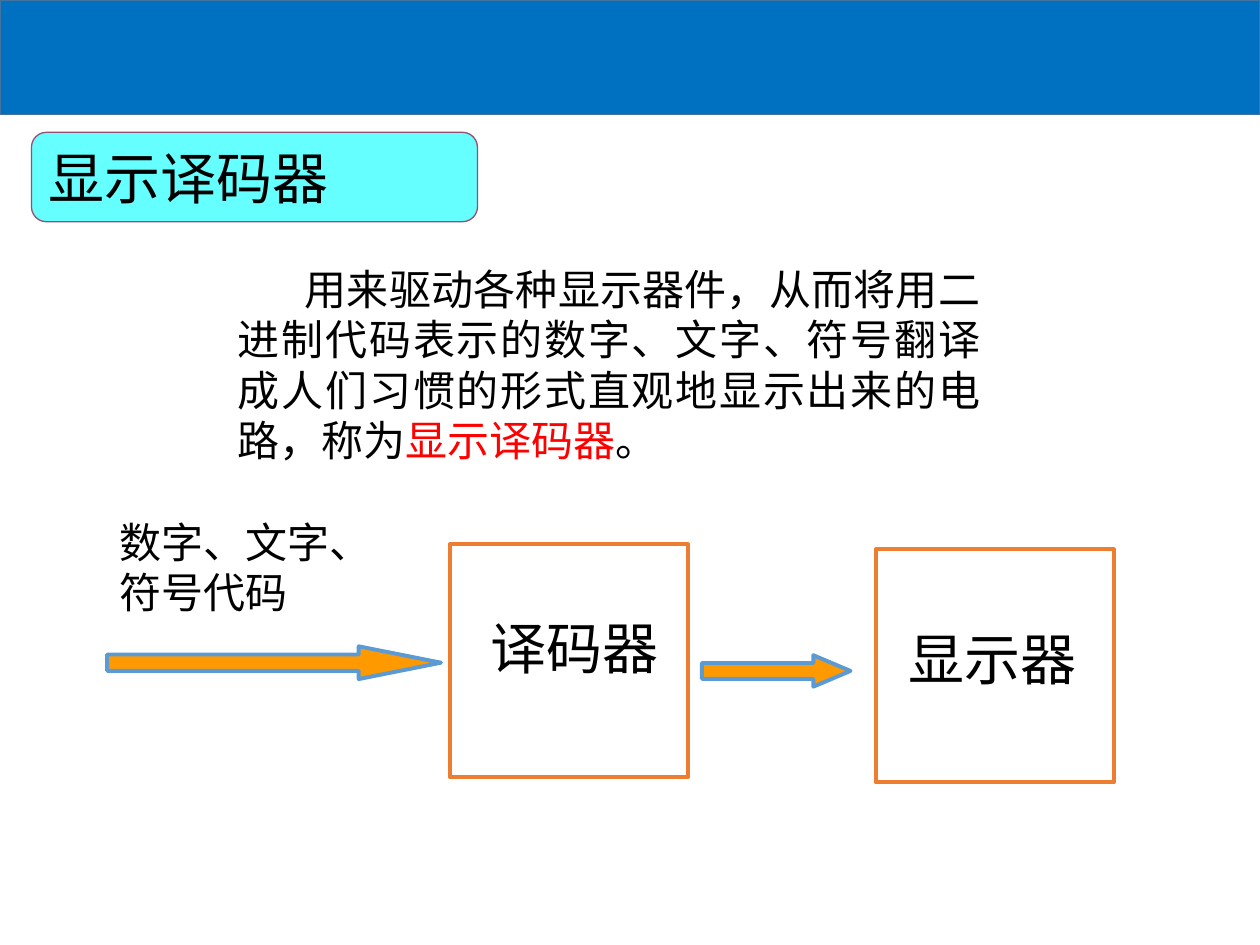
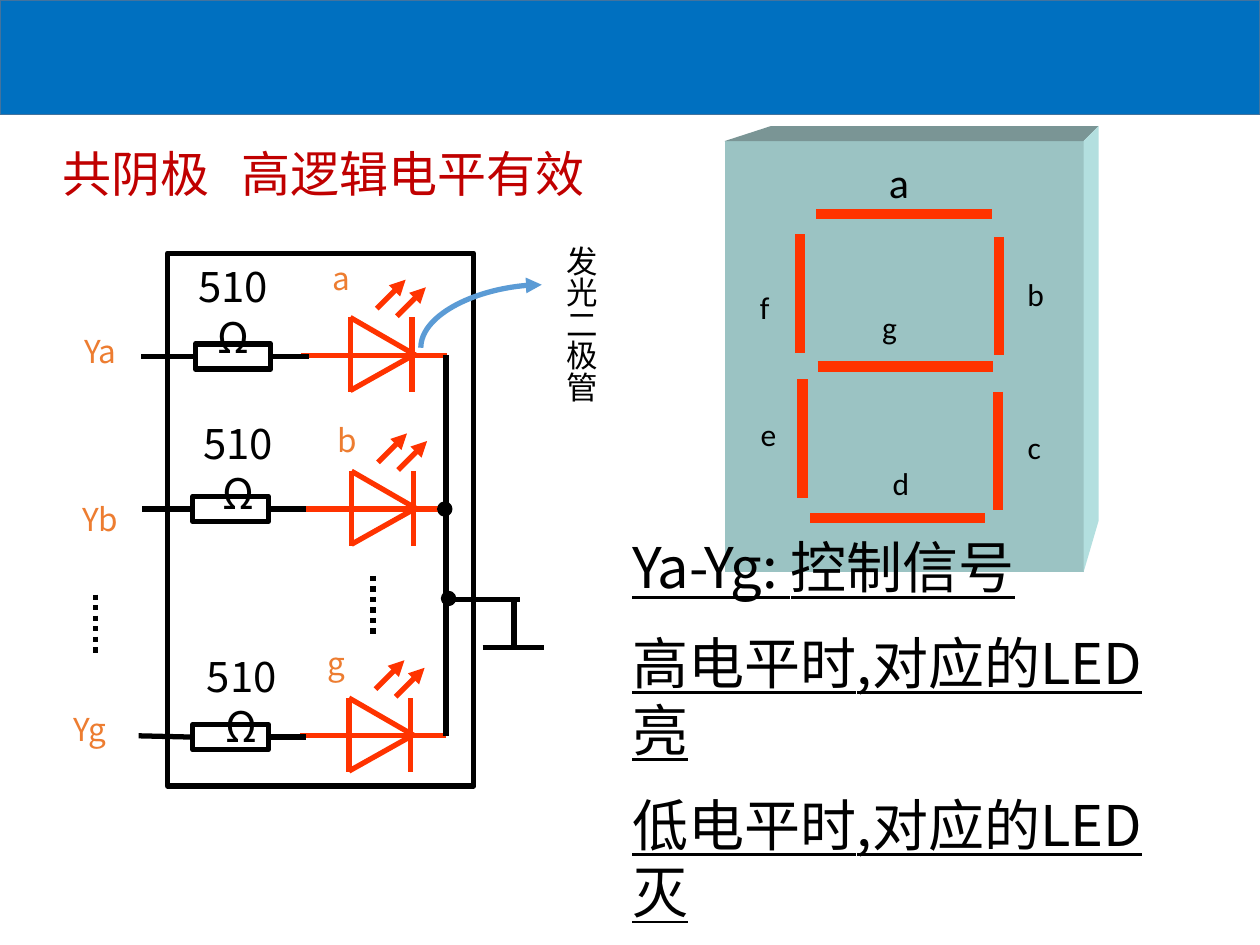
from lxml.etree import SubElement
from pptx import Presentation
from pptx.dml.color import RGBColor
from pptx.enum.dml import MSO_LINE
from pptx.enum.shapes import MSO_CONNECTOR, MSO_SHAPE
from pptx.enum.text import MSO_ANCHOR, PP_ALIGN
from pptx.oxml.ns import qn
from pptx.util import Inches, Pt

BLACK, WHITE, BLUE, BAND_EDGE = "000000", "FFFFFF", "0070C0", "43739E"
CYAN, PLUM, RED, DARK_RED = "66FFFF", "954F72", "FF0000", "C00000"
ORANGE, AMBER, SKY, LED_RED = "ED7D31", "FF9900", "5B9BD5", "FF3300"
LATIN, HAN = "Calibri", "Noto Sans CJK SC"


def color(value):
    return RGBColor.from_string(value)


class SlideBuilder:
    """Holds the deck style and the page being drawn."""

    def __init__(self):
        self.deck = Presentation()
        self.deck.slide_width, self.deck.slide_height = Inches(10), Inches(7.5)
        self.page = None

    def new_page(self):
        self.page = self.deck.slides.add_slide(self.deck.slide_layouts[6])
        self.shape(MSO_SHAPE.RECTANGLE, (0, 0, 10, 0.91), BLUE, BAND_EDGE, 1)

    def paint(self, shape, fill, line, width):
        shape.shadow.inherit = False
        if fill:
            shape.fill.solid()
            shape.fill.fore_color.rgb = color(fill)
        else:
            shape.fill.background()
        if line:
            shape.line.color.rgb = color(line)
            shape.line.width = Pt(width)
        else:
            shape.line.fill.background()

    def shape(self, kind, place, fill=None, line=None, width=3, adjust=()):
        shape = self.page.shapes.add_shape(kind, *map(Inches, place))
        for index, value in enumerate(adjust):
            shape.adjustments[index] = value
        self.paint(shape, fill, line, width)
        return shape

    def face(self, points, fill):
        corners = [(Inches(x), Inches(y)) for x, y in points]
        outline = self.page.shapes.build_freeform(*corners[0], scale=1.0)
        outline.add_line_segments(corners[1:], close=True)
        self.paint(outline.convert_to_shape(), fill, None, 0)

    def line(self, start, end, line=BLACK, width=3, dotted=False, arrow=False,
             kind=MSO_CONNECTOR.STRAIGHT):
        connector = self.page.shapes.add_connector(kind, *map(Inches, start + end))
        connector.line.color.rgb = color(line)
        connector.line.width = Pt(width)
        if dotted:
            connector.line.dash_style = MSO_LINE.ROUND_DOT
        properties = connector._element.spPr
        if arrow:
            SubElement(properties.find(qn("a:ln")), qn("a:tailEnd"), type="triangle")
        SubElement(properties, qn("a:effectLst"))
        return connector

    def text(self, place, content, **style):
        box = self.page.shapes.add_textbox(*map(Inches, place))
        self.set_text(box, content, **style)
        return box

    def set_text(self, box, content, size=18, font=HAN, ink=BLACK, align=PP_ALIGN.LEFT,
                 anchor=MSO_ANCHOR.MIDDLE, wrap=True, underline=None, indent=0, tab=0):
        """Content is a list of paragraphs, each a list of (text, ink) spans or a string."""
        frame = box.text_frame
        frame.word_wrap, frame.vertical_anchor = wrap, anchor
        paragraphs = [content] if isinstance(content, str) else content
        for index, spans in enumerate(paragraphs):
            para = frame.paragraphs[0] if index == 0 else frame.add_paragraph()
            para.alignment = align
            para.line_spacing = Pt(size * 1.2)
            if index:
                para.space_before = Pt(size / 2)
            settings = para._p.get_or_add_pPr()
            if indent:
                settings.set("indent", str(Inches(indent)))
            if tab:
                stops = SubElement(settings, qn("a:tabLst"))
                SubElement(stops, qn("a:tab"), pos=str(Inches(tab)), algn="l")
            for words, span_ink in [(spans, ink)] if isinstance(spans, str) else spans:
                span = para.add_run()
                span.text = words
                formats = {"size": Pt(size), "name": font, "underline": underline}
                for name, value in formats.items():
                    setattr(span.font, name, value)
                span.font.color.rgb = color(span_ink)
                SubElement(span._r.get_or_add_rPr(), qn("a:ea"), typeface=HAN)

    def label(self, place, words, **style):
        self.text(place, words, align=PP_ALIGN.CENTER, wrap=False, **style)

    def led(self, x, y):
        """A diode with its cathode bar and two light rays; x is the anode side."""
        strokes = [
            ((0, -0.3), (0, 0.29)), ((-0.39, 0), (0.77, 0)), ((0, -0.3), (0.52, 0)),
            ((0.48, 0.01), (0, 0.28)), ((0.49, -0.3), (0.49, 0.29)),
        ]
        rays = [((0.21, -0.37), (0.44, -0.6)), ((0.37, -0.31), (0.6, -0.54))]
        for start, end in strokes + rays:
            self.line((x + start[0], y + start[1]), (x + end[0], y + end[1]),
                      LED_RED, arrow=(start, end) in rays)

    def resistor(self, x, y, lead):
        body = self.shape(MSO_SHAPE.RECTANGLE, (x, y - 0.1, 0.6, 0.2), WHITE, BLACK)
        self.line(lead, (x, y)).end_connect(body, 1)
        self.line((x + 0.6, y), (x + 0.9, y)).begin_connect(body, 3)

    def dot(self, x, y):
        self.shape(MSO_SHAPE.OVAL, (x, y, 0.08, 0.08), BLACK, BLACK)


def definition_page(builder):
    builder.new_page()

    # Heading and definition
    heading = builder.shape(MSO_SHAPE.ROUNDED_RECTANGLE, (0.25, 1.05, 3.54, 0.71),
                            CYAN, PLUM, 0.75, [0.167])
    builder.set_text(heading, "显示译码器", size=32, font=LATIN)
    definition = [
        ("用来驱动各种显示器件，从而将用二进制代码表示的数字、文字、符号翻译"
         "成人们习惯的形式直观地显示出来的电路，称为", BLACK),
        ("显示译码器", RED), ("。", BLACK),
    ]
    builder.text((1.79, 2.04, 6.09, 1.72), [definition], size=24, font=LATIN,
                 align=PP_ALIGN.JUSTIFY, anchor=MSO_ANCHOR.TOP, indent=0.53)

    # Signal flow
    builder.text((0.85, 4.04, 2.49, 0.91), "数字、文字、符号代码", size=24)
    for place, head in [((0.85, 5.13, 2.65, 0.26), 2.513), ((5.57, 5.2, 1.18, 0.25), 1.181)]:
        builder.shape(MSO_SHAPE.RIGHT_ARROW, place, AMBER, SKY, 2.25, [0.5, head])
    for x, y in [(3.57, 4.32), (6.95, 4.36)]:
        builder.shape(MSO_SHAPE.RECTANGLE, (x, y, 1.89, 1.85), WHITE, ORANGE, 2.25)
    builder.label((3.79, 4.82, 1.54, 0.63), "译码器", size=32)
    builder.label((7.11, 4.91, 1.54, 0.63), "显示器", size=32)


def display_panel(builder):
    # Solid block: front, top and right faces
    left, top, right, bottom = 5.75, 1.12, 8.6, 4.54
    back_left, back_top, back_right, back_bottom = 6.12, 1, 8.72, 4.13
    builder.face([(left, top), (right, top), (right, bottom), (left, bottom)], "9BC3C3")
    builder.face([(left, top), (back_left, back_top), (back_right, back_top),
                  (right, top)], "7A9595")
    builder.face([(right, top), (back_right, back_top), (back_right, back_bottom),
                  (right, bottom)], "B3DFDF")

    # Seven segments
    for x, y in [(6.48, 1.7), (6.49, 2.91), (6.43, 4.11)]:
        builder.line((x, y), (x + 1.39, y), LED_RED, 6)
    for x, y in [(6.35, 1.86), (6.37, 3.01), (7.92, 3.11), (7.93, 1.88)]:
        builder.line((x, y), (x, y + 0.94), LED_RED, 6)
    builder.label((6.95, 1.19, 0.37, 0.5), "a", size=24, font=LATIN)
    segment_labels = {"b": (8.02, 2.05), "c": (8.01, 3.26), "d": (6.95, 3.55),
                      "e": (5.9, 3.16), "f": (5.87, 2.15), "g": (6.86, 2.31)}
    for name, corner in segment_labels.items():
        builder.label(corner + (0.4, 0.57), name, font=LATIN)


def led_circuit(builder):
    builder.shape(MSO_SHAPE.RECTANGLE, (1.33, 2.01, 2.43, 4.23), None, BLACK)

    # One branch per output: diode, resistor with leads, and names
    branches = [
        # name, diode, resistor, lead start, value corner, input corner, name corner
        ("a", (2.78, 2.82), (1.55, 2.83), (1.12, 2.83), (1.37, 2.22), (0.5, 2.5), (2.51, 1.92)),
        ("b", (2.79, 4.04), (1.53, 4.04), (1.13, 4.04), (1.41, 3.46), (0.5, 3.83), (2.56, 3.21)),
        ("g", (2.77, 5.84), (1.53, 5.85), (1.1, 5.84), (1.44, 5.31), (0.42, 5.5), (2.47, 4.98)),
    ]
    for name, diode, resistor, lead, value_at, input_at, name_at in branches:
        builder.led(*diode)
        builder.resistor(*resistor, lead)
        builder.text(value_at + (0.96, 0.5), "510Ω", size=24, align=PP_ALIGN.CENTER)
        builder.label(input_at + (0.59, 0.57), "Y" + name, ink=ORANGE)
        builder.label(name_at + (0.4, 0.57), name, ink=ORANGE)

    # Common cathode, ground and omitted branches
    for start, end in [((3.54, 2.82), (3.54, 5.84)), ((3.54, 4.76), (4.13, 4.76)),
                       ((4.08, 4.76), (4.08, 5.14)), ((3.83, 5.14), (4.32, 5.14))]:
        builder.line(start, end)
    builder.dot(3.49, 4)
    builder.dot(3.52, 4.71)
    for x, y in [(2.96, 4.57), (0.76, 4.72)]:
        builder.line((x, y), (x, y + 0.46), dotted=True)

    # Diode callout: a quarter curve turned to leave upwards
    caption = builder.text((4.28, 1.85, 0.67, 2.06), "发光二极管")
    caption.text_frame._txBody.bodyPr.set("vert", "eaVert")
    curve = builder.line((3.57, 2.03), (4.07, 2.99), SKY, arrow=True,
                         kind=MSO_CONNECTOR.CURVE)
    properties = curve._element.spPr
    properties.find(qn("a:xfrm")).set("rot", str(270 * 60000))
    properties.find(qn("a:prstGeom")).set("prst", "curvedConnector2")


def common_cathode_page(builder):
    builder.new_page()
    display_panel(builder)
    led_circuit(builder)

    # Control signal rules and title
    rules = ["Ya-Yg: 控制信号", "高电平时,对应的LED亮", "低电平时,对应的LED灭"]
    builder.text((4.92, 4.67, 4.67, 2.23), rules, size=32, underline=True)
    builder.text((0.4, 1.09, 4.72, 0.57), "共阴极\t高逻辑电平有效", size=28,
                 ink=DARK_RED, anchor=MSO_ANCHOR.TOP, tab=1.42)


def main():
    builder = SlideBuilder()
    definition_page(builder)
    common_cathode_page(builder)
    builder.deck.save("out.pptx")


if __name__ == "__main__":
    main()
